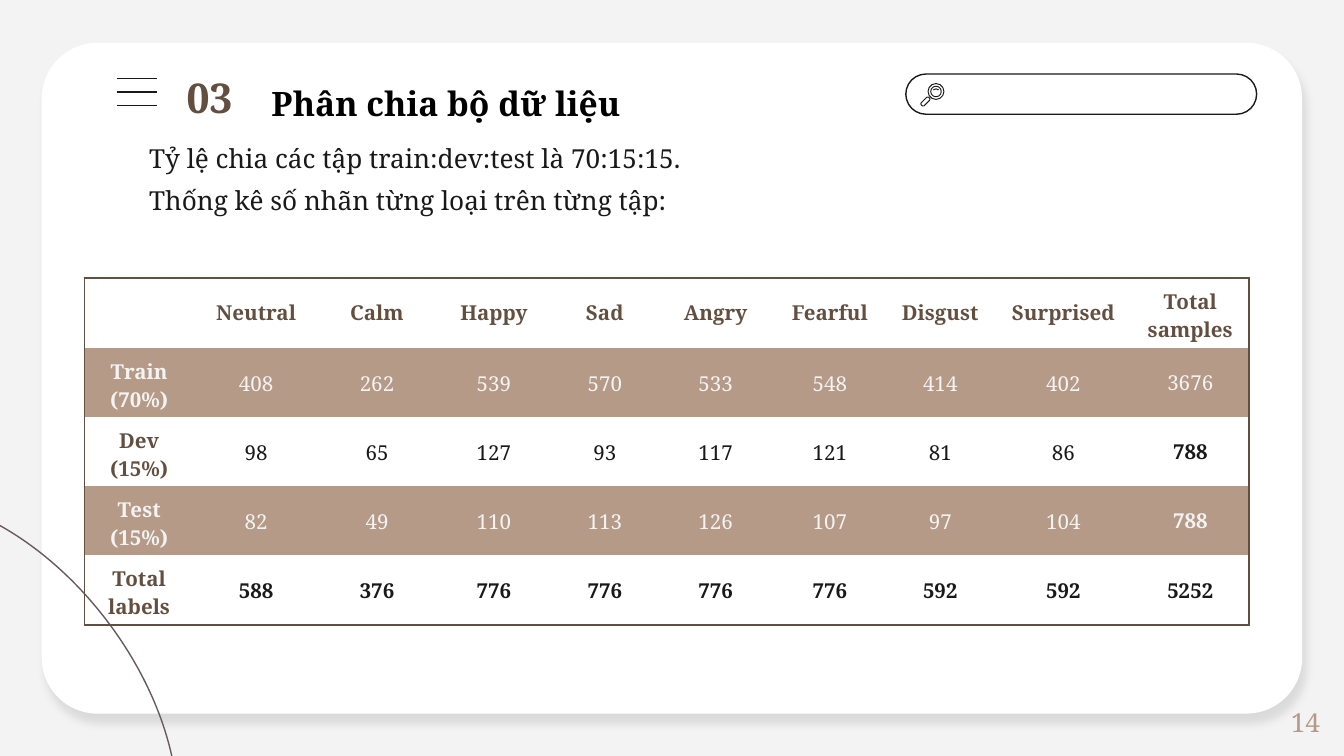
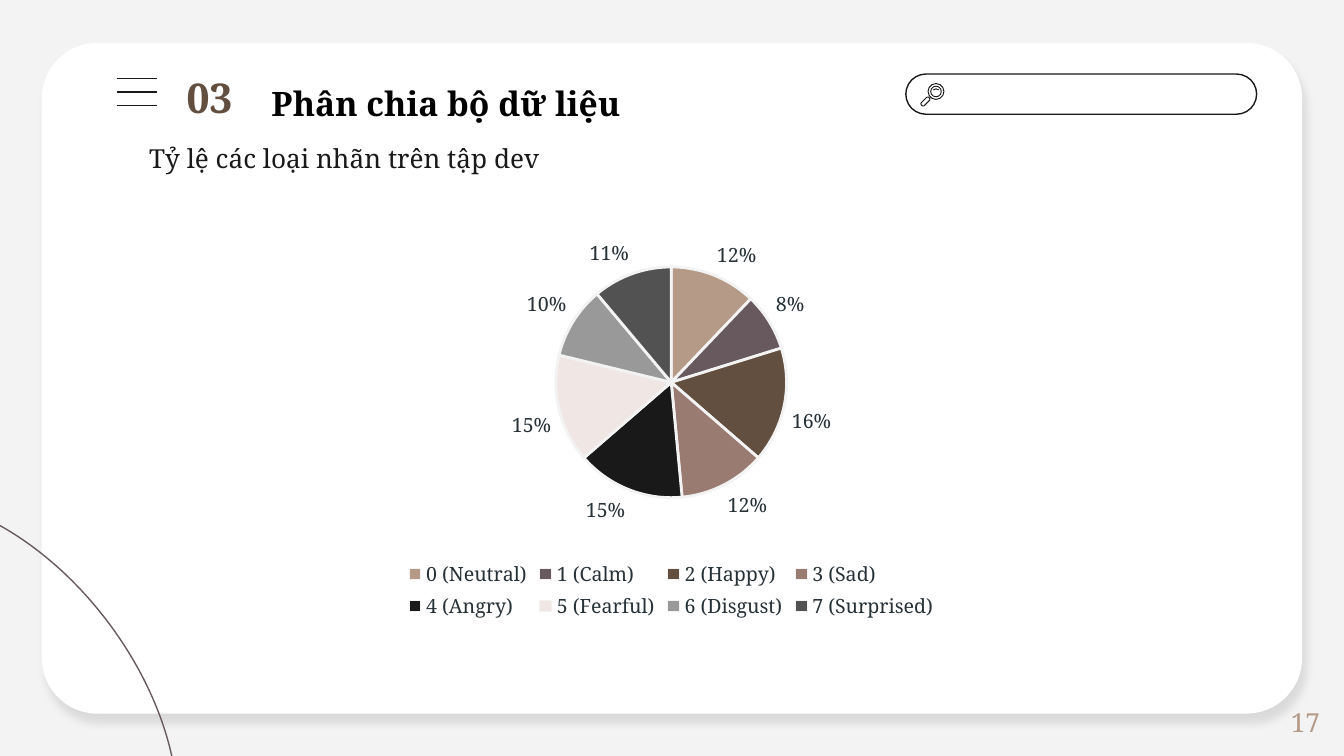
from lxml.etree import SubElement
from pptx import Presentation
from pptx.chart.data import CategoryChartData
from pptx.dml.color import RGBColor
from pptx.enum.chart import XL_CHART_TYPE, XL_LABEL_POSITION as LABEL_POS, XL_LEGEND_POSITION as LEGEND_POS
from pptx.enum.shapes import MSO_CONNECTOR, MSO_SHAPE
from pptx.enum.text import MSO_ANCHOR, PP_ALIGN
from pptx.oxml import parse_xml
from pptx.oxml.ns import nsdecls, qn
from pptx.util import Cm, Pt

FONT = "Noto Serif"
GRAY = RGBColor(0xF3, 0xF3, 0xF3)
WHITE = RGBColor(0xFF, 0xFF, 0xFF)
BLACK = RGBColor(0x00, 0x00, 0x00)
INK = RGBColor(0x19, 0x19, 0x19)
BROWN = RGBColor(0x63, 0x4F, 0x40)
TAN = RGBColor(0xB4, 0x9A, 0x87)
PLUM = RGBColor(0x67, 0x59, 0x5E)
ROSE = RGBColor(0x9A, 0x7B, 0x72)
BLUSH = RGBColor(0xF0, 0xE7, 0xE4)
SILVER = RGBColor(0x99, 0x99, 0x99)
CHARCOAL = RGBColor(0x52, 0x52, 0x52)
SLATE = RGBColor(0x26, 0x32, 0x38)

TITLE = {"size": Pt(18), "bold": True}
SECTION = {"size": Pt(22), "bold": True}
BODY = {"size": Pt(14), "bold": False}
LABEL = {"size": Pt(10.5), "bold": False}


def write(p, text, fmt, color, align=PP_ALIGN.LEFT):
    p.alignment = align
    r = p.add_run()
    r.text = text
    r.font.name = FONT
    r.font.color.rgb = color
    for name, value in fmt.items():
        setattr(r.font, name, value)


def add_outline(shapes, kind, box, color, width=0.75):
    sp = shapes.add_shape(kind, *map(Cm, box))
    sp.shadow.inherit = False
    sp.fill.background()
    sp.line.color.rgb = color
    sp.line.width = Pt(width)
    return sp


prs = Presentation()
prs.slide_width, prs.slide_height = Cm(25.4), Cm(14.29)

pages = [
    (14, ["Tỷ lệ chia các tập train:dev:test là 70:15:15.",
          "Thống kê số nhãn từng loại trên từng tập:"]),
    (17, ["Tỷ lệ các loại nhãn trên tập dev"]),
]

# Shared frame and headings
for number, lines in pages:
    s = prs.slides.add_slide(prs.slide_layouts[6])
    s.background.fill.solid()
    s.background.fill.fore_color.rgb = GRAY

    # White sheet with a soft shadow
    sheet = s.shapes.add_shape(MSO_SHAPE.ROUNDED_RECTANGLE, Cm(0.79), Cm(0.81), Cm(23.82), Cm(12.68))
    sheet.adjustments[0] = 0.083
    sheet.shadow.inherit = False
    sheet.fill.solid()
    sheet.fill.fore_color.rgb = WHITE
    sheet.line.fill.background()
    sheet._element.spPr.find(qn("a:effectLst")).append(parse_xml(
        f'<a:outerShdw {nsdecls("a")} blurRad="{Pt(4.5)}" dist="{Pt(6)}" dir="{68 * 60000}" algn="bl" '
        'rotWithShape="0"><a:srgbClr val="000000"><a:alpha val="10000"/></a:srgbClr></a:outerShdw>'))

    # Corner curve
    curve = add_outline(s.shapes, MSO_SHAPE.OVAL, (-4.98, 10.59, 9.35, 5.87), PLUM)
    curve.rotation = 53

    # Menu icon
    menu = s.shapes.add_group_shape()
    for i in range(3):
        y = Cm(1.48 + 0.26 * i)
        bar = menu.shapes.add_connector(MSO_CONNECTOR.STRAIGHT, Cm(2.21), y, Cm(2.97), y)
        bar.line.color.rgb = INK
        bar.line.width = Pt(0.75)
        SubElement(bar._element.spPr, qn("a:effectLst"))

    # Search bar with magnifier
    search = s.shapes.add_group_shape()
    bar = add_outline(search.shapes, MSO_SHAPE.ROUNDED_RECTANGLE, (17.12, 1.4, 6.63, 0.76), INK)
    bar.adjustments[0] = 0.5
    for radius in (0.15, 0.1):
        add_outline(search.shapes, MSO_SHAPE.OVAL,
                    (17.69 - radius, 1.73 - radius, 2 * radius, 2 * radius), INK, 0.5)
    handle = add_outline(search.shapes, MSO_SHAPE.ROUNDED_RECTANGLE, (17.39, 1.88, 0.2, 0.08), INK, 0.5)
    handle.adjustments[0] = 0.4
    handle.rotation = -45
    fb = search.shapes.build_freeform(Cm(17.64), Cm(1.7))
    fb.add_line_segments([(Cm(17.69), Cm(1.68)), (Cm(17.74), Cm(1.7))], close=False)
    glint = fb.convert_to_shape()
    glint.shadow.inherit = False
    glint.fill.background()
    glint.line.color.rgb = INK
    glint.line.width = Pt(0.5)

    # Page number, title, section number and body text
    texts = [
        ((19.48, 13.26, 5.72, 0.76), [str(number)], BODY, TAN, PP_ALIGN.RIGHT, 0.13),
        ((4.88, 1.17, 18.47, 1.27), ["Phân chia bộ dữ liệu"], TITLE, BLACK, PP_ALIGN.JUSTIFY, 0.25),
        ((3.28, 1.24, 1.47, 1.19), ["03"], SECTION, BROWN, PP_ALIGN.LEFT, 0.13),
        ((2.57, 2.44, 17.73, 1.19 if len(lines) == 1 else 2.16), lines, BODY, INK, PP_ALIGN.LEFT, 0.25),
    ]
    for box, paragraphs, fmt, color, align, inset in texts:
        tf = s.shapes.add_textbox(*map(Cm, box)).text_frame
        tf.word_wrap = True
        tf.margin_top = tf.margin_bottom = Cm(inset)
        if fmt is BODY and color == TAN:
            tf.vertical_anchor = MSO_ANCHOR.MIDDLE
        for i, text in enumerate(paragraphs):
            p = tf.add_paragraph() if i else tf.paragraphs[0]
            if i:
                p.space_before = Pt(6)
            if fmt is TITLE:
                p.line_spacing = 1.2
            write(p, text, fmt, color, align)

table_slide, chart_slide = prs.slides

# Label counts table
rows = [
    ["", "Neutral", "Calm", "Happy", "Sad", "Angry", "Fearful", "Disgust", "Surprised", "Total samples"],
    ["Train (70%)", 408, 262, 539, 570, 533, 548, 414, 402, 3676],
    ["Dev (15%)", 98, 65, 127, 93, 117, 121, 81, 86, 788],
    ["Test (15%)", 82, 49, 110, 113, 126, 107, 97, 104, 788],
    ["Total labels", 588, 376, 776, 776, 776, 776, 592, 592, 5252],
]
widths = [2.06, 2.36, 2.21, 2.21, 1.98, 2.21, 2.11, 2.06, 2.59, 2.21]
last_row, last_col = len(rows) - 1, len(widths) - 1
tbl = table_slide.shapes.add_table(len(rows), len(widths), Cm(1.6), Cm(5.26),
                                   Cm(sum(widths)), Cm(1.31 * len(rows))).table
tbl.first_row = tbl.horz_banding = False
tbl._tbl.tblPr.find(qn("a:tableStyleId")).text = "{2D5ABB26-0587-4C30-8999-92F81FD0307C}"
for col, width in zip(tbl.columns, widths):
    col.width = Cm(width)

for i, row in enumerate(rows):
    tbl.rows[i].height = Cm(1.31)
    banded = i in (1, 3)
    for j, value in enumerate(row):
        cell = tbl.cell(i, j)
        heading = i == 0 or j == 0
        cell.vertical_anchor = MSO_ANCHOR.MIDDLE
        roomy = heading or j == last_col
        cell.margin_left = cell.margin_right = Cm(0.25 if roomy else 0.03)
        cell.margin_top = Cm(0.18 if roomy else 0.03)
        cell.margin_bottom = Cm(0.18 if roomy else 0)

        # Border around the outside only
        edges = {"L": j == 0, "R": j == last_col, "T": i == 0, "B": i == last_row}
        for side, outer in edges.items():
            if outer:
                ln = SubElement(cell._tc.get_or_add_tcPr(), qn(f"a:ln{side}"), w=str(Pt(1)))
                SubElement(SubElement(ln, qn("a:solidFill")), qn("a:srgbClr"), val=str(BROWN))

        if banded:
            cell.fill.solid()
            cell.fill.fore_color.rgb = TAN
        else:
            cell.fill.background()
        if value != "":
            bold = heading or i == last_row or (j == last_col and i > 1)
            color = GRAY if banded else BROWN if heading else INK
            write(cell.text_frame.paragraphs[0], str(value), {"size": Pt(11), "bold": bold},
                  color, PP_ALIGN.CENTER)

# Dev set pie chart
data = CategoryChartData()
data.categories = [f"{i} ({name})" for i, name in enumerate(rows[0][1:-1])]
data.add_series("Series 1", [12, 8, 16, 12, 15, 15, 10, 11])
chart = chart_slide.shapes.add_chart(XL_CHART_TYPE.PIE, Cm(6.27), Cm(4.11), Cm(12.83), Cm(7.7), data).chart
chart.has_title = False
chart.has_legend = True
chart.legend.position = LEGEND_POS.BOTTOM
chart.legend.include_in_layout = False
plot = chart.plots[0]
plot.vary_by_categories = True
plot.has_data_labels = True
labels = plot.data_labels
labels.show_percentage = True
labels.show_value = False
labels.number_format = "0%"
labels.number_format_is_linked = False
labels.position = LABEL_POS.OUTSIDE_END
for font in (chart.font, chart.legend.font, labels.font):
    font.name = FONT
    font.color.rgb = SLATE
    for name, value in LABEL.items():
        setattr(font, name, value)

for i, color in enumerate([TAN, PLUM, BROWN, ROSE, INK, BLUSH, SILVER, CHARCOAL]):
    fmt = plot.series[0].points[i].format
    fmt.fill.solid()
    fmt.fill.fore_color.rgb = color
    fmt.line.color.rgb = GRAY
    fmt.line.width = Pt(1.5)

# Fixed place for the pie inside the chart
area = chart._chartSpace.chart.plotArea
for layout in area.findall(qn("c:layout")):
    area.remove(layout)
layout = parse_xml(f'<c:layout {nsdecls("c")}><c:manualLayout/></c:layout>')
settings = {"layoutTarget": "inner", "xMode": "edge", "yMode": "edge",
            "x": 0.33, "y": 0.12, "w": 0.34, "h": 0.57}
for name, value in settings.items():
    SubElement(layout[0], qn(f"c:{name}"), val=str(value))
area.insert(0, layout)

prs.save("out.pptx")
